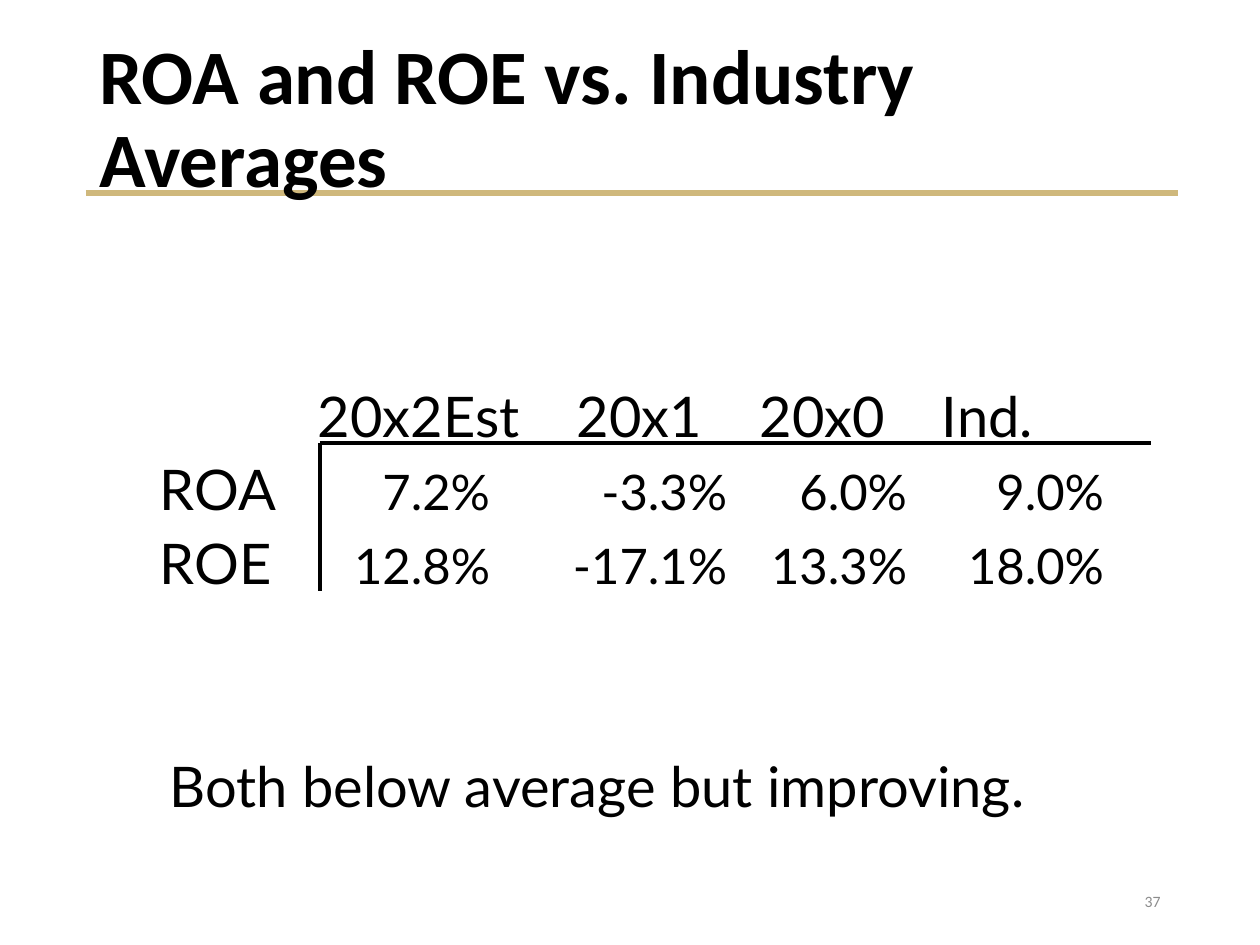
from dataclasses import dataclass

from lxml import etree
from pptx import Presentation, util as u
from pptx.dml.color import RGBColor
from pptx.enum import text
from pptx.enum.shapes import MSO_CONNECTOR
from pptx.oxml import ns

EMU_PER_PX = 914400 / 126


def px(length):
    return u.Emu(round(length * EMU_PER_PX))


@dataclass(frozen=True)
class Theme:
    ink: str = "000000"
    gold: str = "CFB87C"
    gray: str = "8C8C8C"
    heading_font: str = "Calibri"
    body_font: str = "Lato"
    title_size: int = 44
    body_size: int = 32
    value_size: int = 28
    number_size: int = 9


class RatioSlide:
    def __init__(self, theme):
        self.theme = theme
        self.deck = Presentation()
        self.deck.slide_width, self.deck.slide_height = px(1260), px(945)
        self.slide = self.deck.slides.add_slide(self.deck.slide_layouts[6])

    def style(self, paragraph, font, size, color, bold=False):
        for run in paragraph.runs:
            run.font.name = font
            run.font.size = u.Pt(size)
            run.font.bold = bold
            run.font.color.rgb = RGBColor.from_string(color)

    def textbox(self, words, box, font, size, color, bold=False, wrap=True,
                anchor=text.MSO_ANCHOR.TOP, align=text.PP_ALIGN.LEFT, spacing=1.0):
        frame = self.slide.shapes.add_textbox(*map(px, box)).text_frame
        frame.word_wrap = wrap
        frame.vertical_anchor = anchor
        frame.text = words
        paragraph = frame.paragraphs[0]
        paragraph.alignment = align
        paragraph.line_spacing = spacing
        self.style(paragraph, font, size, color, bold)

    def rule(self, start, end, color, weight):
        line = self.slide.shapes.add_connector(
            MSO_CONNECTOR.STRAIGHT, *map(px, (*start, *end)))
        line.line.color.rgb = RGBColor.from_string(color)
        line.line.width = u.Pt(weight)
        etree.SubElement(line._element.spPr, ns.qn("a:effectLst"))

    def table(self, rows, left, top, row_height, widths, header_gaps, value_gaps):
        theme = self.theme
        grid = self.slide.shapes.add_table(
            len(rows), len(widths), px(left), px(top),
            px(sum(widths)), px(row_height * len(rows))).table
        grid.first_row = grid.horz_banding = False
        for column, width in zip(grid.columns, widths):
            column.width = px(width)
        for r, row in enumerate(rows):
            grid.rows[r].height = px(row_height)
            for c, words in enumerate(row):
                is_value = r > 0 and c > 0
                cell = grid.cell(r, c)
                cell.fill.background()
                cell.margin_top = 0
                cell.margin_bottom = px(2) if is_value else 0
                cell.margin_left = 0 if is_value else px(header_gaps[c])
                cell.margin_right = px(value_gaps[c]) if is_value else 0
                cell.vertical_anchor = text.MSO_ANCHOR.BOTTOM
                cell.text = words
                paragraph = cell.text_frame.paragraphs[0]
                paragraph.alignment = (
                    text.PP_ALIGN.RIGHT if is_value else text.PP_ALIGN.LEFT)
                size = theme.value_size if is_value else theme.body_size
                self.style(paragraph, theme.body_font, size, theme.ink)

    def save(self):
        self.deck.save("out.pptx")


def main():
    theme = Theme()
    page = RatioSlide(theme)
    page.rule((86, 193), (1178, 193), theme.gold, 3)
    page.textbox("37", (890, 876, 283, 50), theme.heading_font, theme.number_size,
                 theme.gray, anchor=text.MSO_ANCHOR.MIDDLE, align=text.PP_ALIGN.RIGHT)
    ratios = [
        ["", "20x2Est", "20x1", "20x0", "Ind."],
        ["ROA", "7.2%", "-3.3%", "6.0%", "9.0%"],
        ["ROE", "12.8%", "-17.1%", "13.3%", "18.0%"],
    ]
    page.table(ratios, 160, 375, 74, widths=[158, 229, 203, 182, 219],
               header_gaps=[0, 0, 30, 10, 10], value_gaps=[0, 57, 23, 25, 47])
    corner = (320, 443)
    page.rule(corner, (1151, 443), theme.ink, 2)
    page.rule(corner, (320, 591), theme.ink, 2)
    page.textbox("Both below average but improving.", (157, 745, 893, 80),
                 theme.body_font, theme.body_size, theme.ink, wrap=False)
    page.textbox("ROA and ROE vs. Industry Averages", (87, 50, 1086, 142),
                 theme.heading_font, theme.title_size, theme.ink, bold=True,
                 anchor=text.MSO_ANCHOR.MIDDLE, spacing=0.9)
    page.save()


if __name__ == "__main__":
    main()
